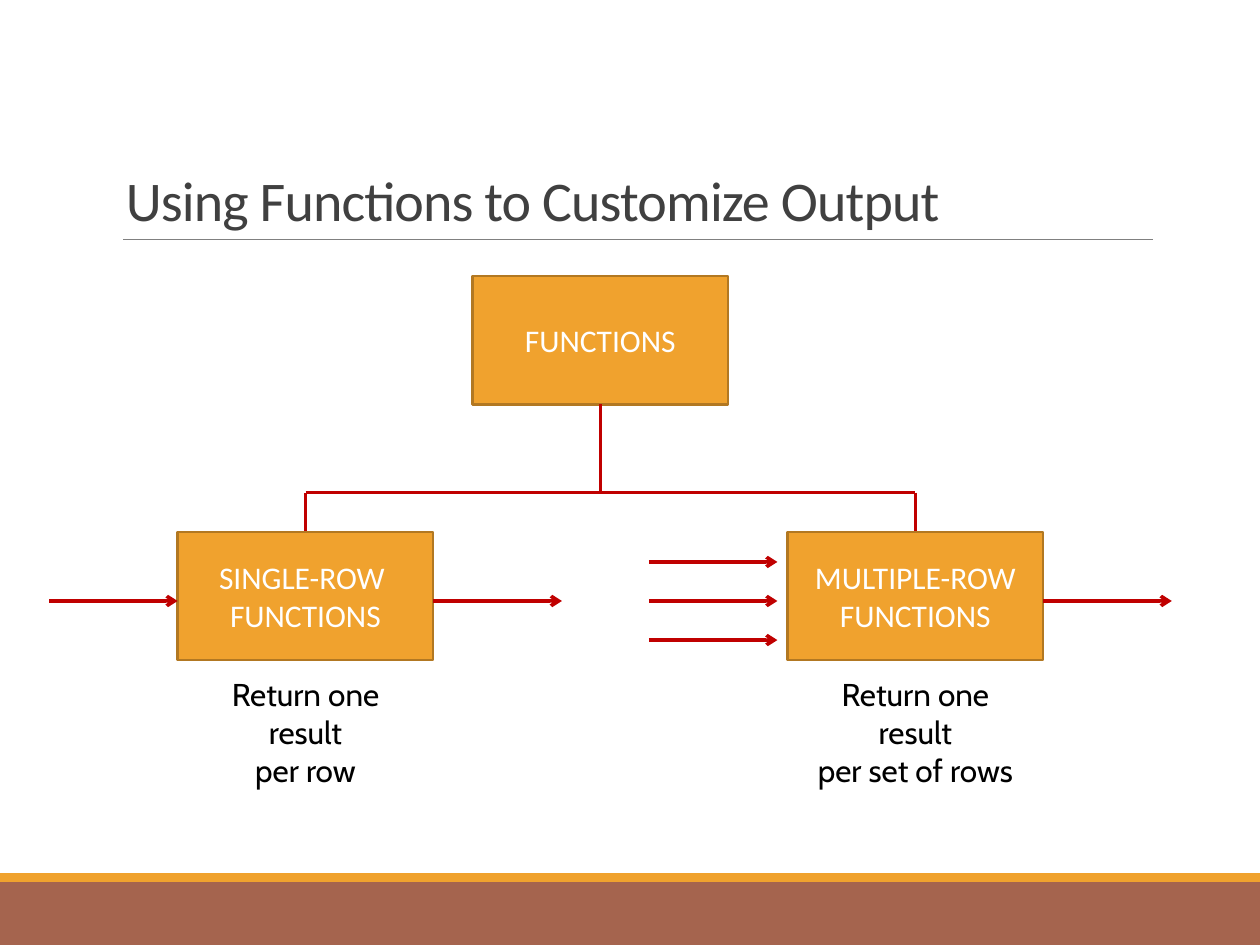
from dataclasses import dataclass

from lxml import etree
from pptx import Presentation
from pptx.dml.color import RGBColor
from pptx.enum.shapes import MSO_CONNECTOR, MSO_SHAPE
from pptx.enum.text import MSO_ANCHOR, PP_ALIGN
from pptx.oxml.ns import qn
from pptx.util import Inches, Pt

RECTANGLE = MSO_SHAPE.RECTANGLE
STRAIGHT = MSO_CONNECTOR.STRAIGHT
TOP, MIDDLE, BOTTOM = MSO_ANCHOR.TOP, MSO_ANCHOR.MIDDLE, MSO_ANCHOR.BOTTOM
LEFT, CENTER = PP_ALIGN.LEFT, PP_ALIGN.CENTER

# The page is a grid of 100 columns and 75 rows
COLUMNS, ROWS = 100, 75
PAGE_WIDTH, PAGE_HEIGHT = Inches(10), Inches(7.5)


@dataclass(frozen=True)
class Theme:
    orange: str = "F0A22E"
    brown: str = "A5644E"
    border: str = "B27822"
    red: str = "C00000"
    gray: str = "808080"
    title: str = "404040"
    white: str = "FFFFFF"
    black: str = "000000"
    heading_font: str = "Calibri"
    caption_font: str = "Cabin"
    title_size: float = 32
    body_size: float = 18
    rule_width: float = 0.5
    border_width: float = 1.25
    arrow_width: float = 2


@dataclass(frozen=True)
class Area:
    left: float
    top: float
    width: float
    height: float

    @property
    def right(self) -> float:
        return self.left + self.width

    @property
    def bottom(self) -> float:
        return self.top + self.height

    @property
    def center(self) -> float:
        return self.left + self.width / 2

    @property
    def middle(self) -> float:
        return self.top + self.height / 2


@dataclass(frozen=True)
class Branch:
    left: float
    label: tuple[str, ...]
    caption: tuple[str, ...]
    input_gap: float
    input_offsets: tuple[float, ...]


THEME = Theme()
BOX_WIDTH, BOX_HEIGHT = 20.3, 10.2
ARROW_LENGTH = 10.2
ROOT = Area(37.5, 21.9, BOX_WIDTH, BOX_HEIGHT)
BUS_ROW, BRANCH_ROW = 39.1, 42.2
CAPTION_WIDTH, CAPTION_HEIGHT, CAPTION_GAP = 18.6, 7.1, 0.7
BRANCHES = (
    Branch(14.1, ("SINGLE-ROW ", "FUNCTIONS"),
           ("Return one result", "per row"), 0, (0,)),
    Branch(62.5, ("MULTIPLE-ROW", "FUNCTIONS"),
           ("Return one result", "per set of rows"), 0.8, (-3.1, 0, 3.1)),
)


def across(columns: float) -> int:
    return round(PAGE_WIDTH * columns / COLUMNS)


def down(rows: float) -> int:
    return round(PAGE_HEIGHT * rows / ROWS)


def place(area: Area) -> tuple[int, int, int, int]:
    return across(area.left), down(area.top), across(area.width), down(area.height)


def write(shape, lines: tuple[str, ...], color: str, font: str,
          size: float = THEME.body_size, align=CENTER, anchor=MIDDLE) -> list:
    """Write one paragraph per line and return the spans."""
    frame = shape.text_frame
    frame.word_wrap = True
    frame.vertical_anchor = anchor
    frame.text = "\n".join(lines)
    spans = []
    for para in frame.paragraphs:
        para.alignment = align
        span = para.runs[0]
        for name, value in {"name": font, "size": Pt(size)}.items():
            setattr(span.font, name, value)
        span.font.color.rgb = RGBColor.from_string(color)
        spans.append(span)
    return spans


def add_box(page, area: Area, fill: str, border: str | None = None):
    box = page.shapes.add_shape(RECTANGLE, *place(area))
    box.shadow.inherit = False
    box.fill.solid()
    box.fill.fore_color.rgb = RGBColor.from_string(fill)
    if border:
        box.line.color.rgb = RGBColor.from_string(border)
        box.line.width = Pt(THEME.border_width)
    else:
        box.line.fill.background()
    return box


def add_node(page, area: Area, label: tuple[str, ...]) -> None:
    box = add_box(page, area, THEME.orange, THEME.border)
    write(box, label, THEME.white, THEME.heading_font)


def add_line(page, start: tuple[float, float], end: tuple[float, float],
             color: str = THEME.red, width: float = THEME.arrow_width,
             arrow: bool = False) -> None:
    line = page.shapes.add_connector(
        STRAIGHT, across(start[0]), down(start[1]), across(end[0]), down(end[1]))
    line.line.color.rgb = RGBColor.from_string(color)
    line.line.width = Pt(width)
    properties = line._element.spPr
    if arrow:
        etree.SubElement(properties.find(qn("a:ln")), qn("a:tailEnd"), type="arrow")
    etree.SubElement(properties, qn("a:effectLst"))


def add_arrow(page, left: float, row: float) -> None:
    add_line(page, (left, row), (left + ARROW_LENGTH, row), arrow=True)


def add_title(page) -> None:
    box = page.shapes.add_textbox(*place(Area(9, 3.1, 82.5, 15.9)))
    span, = write(box, ("Using Functions to Customize Output",), THEME.title,
                  THEME.heading_font, THEME.title_size, LEFT, BOTTOM)
    box.text_frame.paragraphs[0].line_spacing = 0.85
    span._r.get_or_add_rPr().set("spc", "-50")


def add_branch(page, branch: Branch) -> None:
    area = Area(branch.left, BRANCH_ROW, BOX_WIDTH, BOX_HEIGHT)
    row = area.middle + 0.4
    add_line(page, (area.center, BUS_ROW), (area.center, area.top))
    add_node(page, area, branch.label)
    for offset in branch.input_offsets:
        add_arrow(page, area.left - branch.input_gap - ARROW_LENGTH, row + offset)
    add_arrow(page, area.right, row)
    caption = page.shapes.add_textbox(*place(Area(
        area.center - CAPTION_WIDTH / 2, area.bottom + CAPTION_GAP,
        CAPTION_WIDTH, CAPTION_HEIGHT)))
    write(caption, branch.caption, THEME.black, THEME.caption_font, anchor=TOP)


def main() -> None:
    deck = Presentation()
    deck.slide_width, deck.slide_height = PAGE_WIDTH, PAGE_HEIGHT
    page = deck.slides.add_slide(deck.slide_layouts[6])

    # Footer bands, title and rule
    add_box(page, Area(0, 70, COLUMNS, 5), THEME.brown)
    add_box(page, Area(0, 69.3, COLUMNS, 0.7), THEME.orange)
    add_line(page, (9.8, 19), (91.5, 19), THEME.gray, THEME.rule_width)
    add_title(page)

    # Root of the tree and the bus that joins its branches
    add_node(page, ROOT, ("FUNCTIONS",))
    add_line(page, (ROOT.center, ROOT.bottom), (ROOT.center, BUS_ROW))
    first, last = (branch.left + BOX_WIDTH / 2 for branch in BRANCHES)
    add_line(page, (first, BUS_ROW), (last, BUS_ROW))

    # Branches with their inputs, outputs and captions
    for branch in BRANCHES:
        add_branch(page, branch)
    deck.save("out.pptx")


if __name__ == "__main__":
    main()
